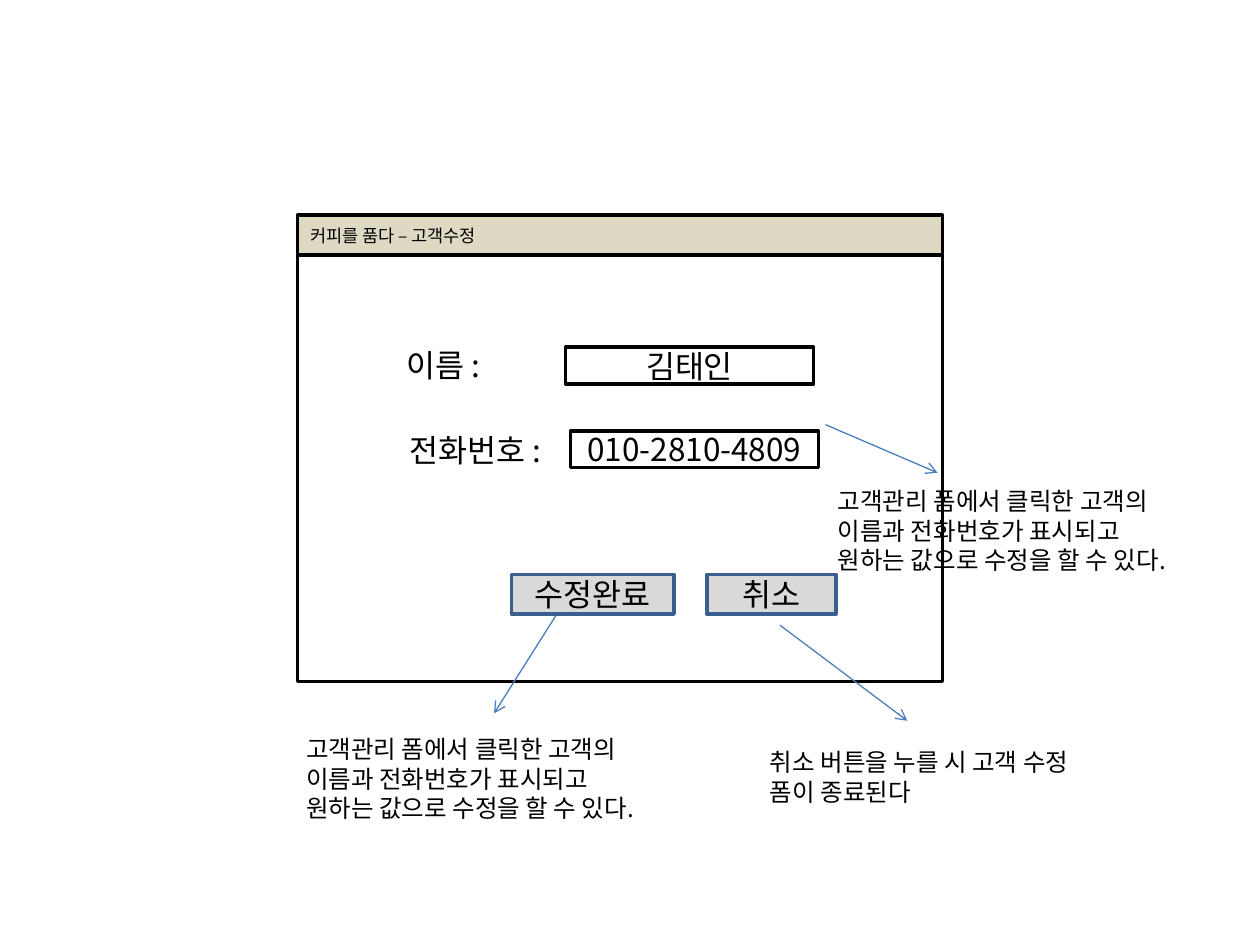
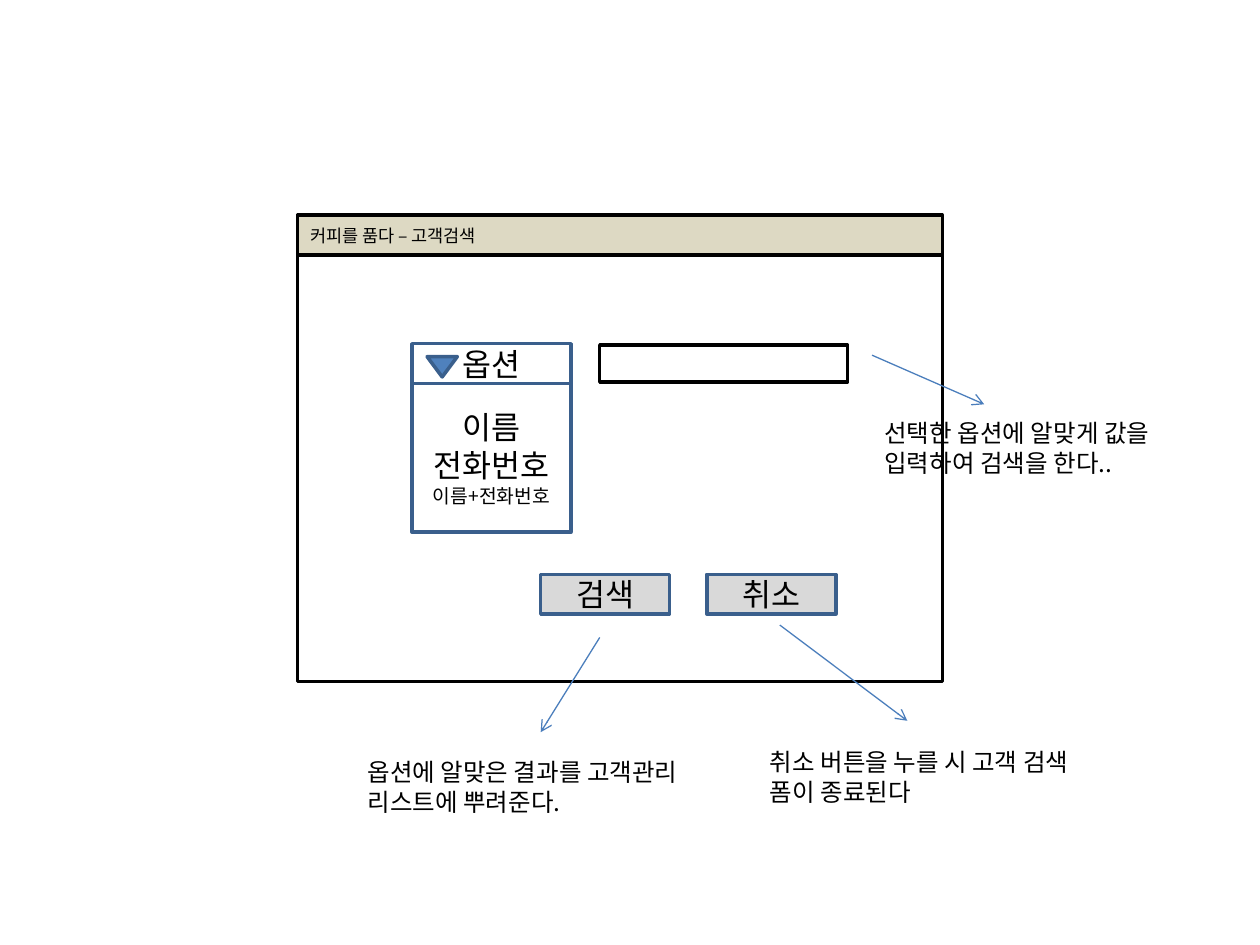
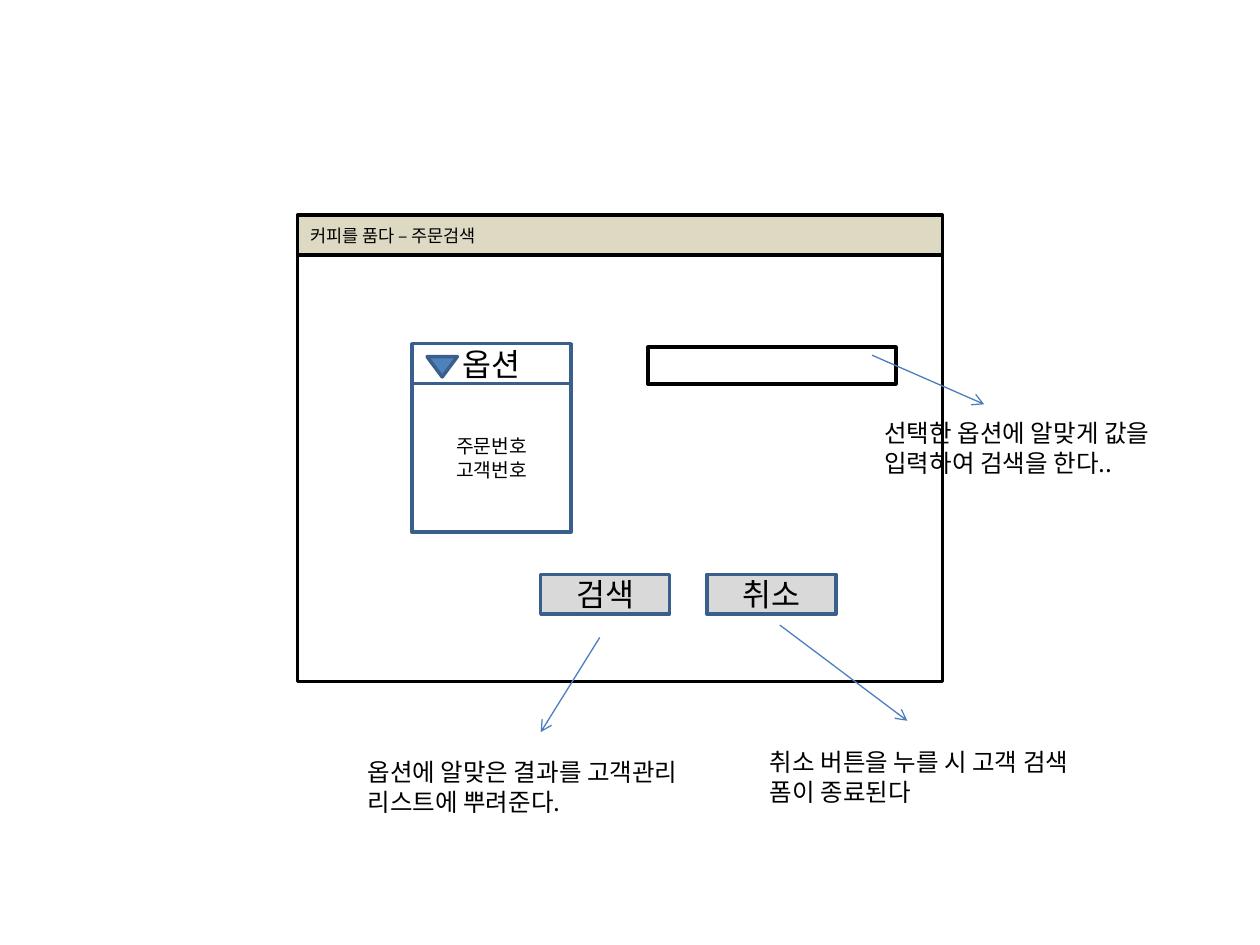
import dataclasses
import typing

import pptx
import pptx.dml.color
import pptx.enum.shapes
import pptx.enum.text
import pptx.oxml
import pptx.oxml.ns
import pptx.util

Cm = pptx.util.Cm
Pt = pptx.util.Pt
RGB = pptx.dml.color.RGBColor
SHAPE = pptx.enum.shapes.MSO_SHAPE
ALIGN = pptx.enum.text.PP_ALIGN
ANCHOR = pptx.enum.text.MSO_ANCHOR
FIT = pptx.enum.text.MSO_AUTO_SIZE


# Theme
@dataclasses.dataclass(frozen=True)
class Theme:
    font: str = "Noto Sans CJK KR"
    black: str = "000000"
    white: str = "FFFFFF"
    title_bar: str = "DDD9C3"
    button: str = "D9D9D9"
    marker: str = "4F81BD"
    edge: str = "3A5F8C"
    arrow: str = "4B7EBC"
    title_size: int = 10
    option_size: int = 11
    note_size: int = 14
    form_size: int = 18
    border: float = 2
    arrow_width: float = 0.75


T = Theme()


# Elements, all lengths in centimetres
class Line(typing.NamedTuple):
    text: str
    size: int = T.form_size


class Label(typing.NamedTuple):
    left: float
    top: float
    text: str


class Field(typing.NamedTuple):
    left: float
    top: float
    text: str = ""


class Button(typing.NamedTuple):
    left: float
    text: str
    width: float = 2.6


class Arrow(typing.NamedTuple):
    x1: float
    y1: float
    x2: float
    y2: float


class Note(typing.NamedTuple):
    left: float
    top: float
    text: str
    height: float
    arrow: Arrow


@dataclasses.dataclass(frozen=True)
class Form:
    name: str
    fields: tuple[Field, ...]
    buttons: tuple[Button, ...]
    notes: tuple[Note, ...]
    labels: tuple[Label, ...] = ()
    options: tuple[Line, ...] = ()


WINDOW = (6, 4.34, 13, 9.4)
BAR_H = 0.8
FIELD_W, FIELD_H = 5, 0.74
BUTTON_TOP = 11.58
LABEL_W, LABEL_H = 4, 1.02
NOTE_W = 7.47
TWO_LINES, THREE_LINES = 1.45, 2.06
OPTION_LEFT, OPTION_TOP, OPTION_W, OPTION_LIST_H = 8.31, 6.93, 3.2, 3


# Drawing helpers
def set_all(obj: typing.Any, values: dict[str, typing.Any]) -> None:
    for name, value in values.items():
        setattr(obj, name, value)


def write(sp, lines: typing.Sequence[Line], align=ALIGN.LEFT,
          anchor=ANCHOR.MIDDLE, fit=FIT.NONE) -> None:
    tf = sp.text_frame
    set_all(tf, {"word_wrap": True, "vertical_anchor": anchor, "auto_size": fit})
    for i, line in enumerate(lines):
        p = tf.paragraphs[0] if i == 0 else tf.add_paragraph()
        p.alignment = align
        r = p.add_run()
        r.text = line.text
        set_all(r.font, {"name": T.font, "size": Pt(line.size)})
        r.font.color.rgb = RGB.from_string(T.black)
        ea = pptx.oxml.parse_xml(
            f'<a:ea {pptx.oxml.ns.nsdecls("a")} typeface="{T.font}"/>')
        r.font._element.find(pptx.oxml.ns.qn("a:latin")).addnext(ea)


def paint(sp, fill: str, edge: str) -> None:
    sp.fill.solid()
    sp.fill.fore_color.rgb = RGB.from_string(fill)
    sp.line.color.rgb = RGB.from_string(edge)
    sp.line.width = Pt(T.border)


def add_box(s, box: tuple[float, float, float, float], fill: str, edge: str,
            lines: typing.Sequence[Line] = (), kind=SHAPE.RECTANGLE) -> None:
    sp = s.shapes.add_shape(kind, *map(Cm, box))
    sp.shadow.inherit = False
    paint(sp, fill, edge)
    write(sp, lines, ALIGN.CENTER)


def add_text(s, box: tuple[float, float, float, float], line: Line) -> None:
    sp = s.shapes.add_textbox(*map(Cm, box))
    write(sp, [line], anchor=ANCHOR.TOP, fit=FIT.SHAPE_TO_FIT_TEXT)


def add_arrow(s, arrow: Arrow) -> None:
    c = s.shapes.add_connector(
        pptx.enum.shapes.MSO_CONNECTOR.STRAIGHT, *map(Cm, arrow))
    c.line.color.rgb = RGB.from_string(T.arrow)
    c.line.width = Pt(T.arrow_width)
    ns = pptx.oxml.ns.nsdecls("a")
    c.line._get_or_add_ln().append(
        pptx.oxml.parse_xml(f'<a:tailEnd {ns} type="arrow"/>'))
    c._element.spPr.append(pptx.oxml.parse_xml(f"<a:effectLst {ns}/>"))


def add_window(s, name: str) -> None:
    add_box(s, WINDOW, T.white, T.black)
    title = s.shapes.title
    left, top, width, _ = WINDOW
    set_all(title, {"left": Cm(left), "top": Cm(top),
                    "width": Cm(width), "height": Cm(BAR_H)})
    paint(title, T.title_bar, T.black)
    write(title, [Line(f"커피를 품다 – {name}", T.title_size)])
    # Bring the title bar in front of the window
    s.shapes._spTree.append(title._element)


def add_options(s, options: typing.Sequence[Line]) -> None:
    add_box(s, (OPTION_LEFT, OPTION_TOP, OPTION_W, BAR_H),
            T.white, T.edge, [Line("옵션")])
    add_box(s, (OPTION_LEFT + 0.3, OPTION_TOP + 0.26, 0.61, 0.41),
            T.marker, T.edge, kind=SHAPE.FLOWCHART_MERGE)
    add_box(s, (OPTION_LEFT, OPTION_TOP + BAR_H, OPTION_W, OPTION_LIST_H),
            T.white, T.edge, options)


def add_form(prs, form: Form) -> None:
    s = prs.slides.add_slide(prs.slide_layouts.get_by_name("Title Only"))
    add_window(s, form.name)
    for label in form.labels:
        add_text(s, (label.left, label.top, LABEL_W, LABEL_H), Line(label.text))
    if form.options:
        add_options(s, form.options)
    for field in form.fields:
        add_box(s, (field.left, field.top, FIELD_W, FIELD_H), T.white, T.black,
                [Line(field.text)] if field.text else [])
    for button in form.buttons:
        add_box(s, (button.left, BUTTON_TOP, button.width, BAR_H),
                T.button, T.edge, [Line(button.text)])
    for note in form.notes:
        add_arrow(s, note.arrow)
        add_text(s, (note.left, note.top, NOTE_W, note.height),
                 Line(note.text, T.note_size))


# Content
CANCEL = Button(14.25, "취소")
EDIT_NOTE = ("고객관리 폼에서 클릭한 고객의 이름과 전화번호가 표시되고 "
             "원하는 값으로 수정을 할 수 있다.")


def cancel_note(action: str) -> Note:
    return Note(15.27, 14.94, f"취소 버튼을 누를 시 고객 {action} 폼이 종료된다",
                TWO_LINES, Arrow(15.72, 12.6, 18.29, 14.53))


def search_form(name: str, field: Field, options: tuple[Line, ...]) -> Form:
    return Form(
        name,
        fields=(field,),
        buttons=(Button(10.9, "검색"), CANCEL),
        notes=(
            Note(17.58, 8.31, "선택한 옵션에 알맞게 값을 입력하여 검색을 한다..",
                 TWO_LINES, Arrow(17.58, 7.16, 19.84, 8.15)),
            cancel_note("검색"),
            Note(7.16, 15.14, "옵션에 알맞은 결과를 고객관리 리스트에 뿌려준다.",
                 TWO_LINES, Arrow(12.09, 12.85, 10.9, 14.76)),
        ),
        options=options,
    )


FORMS = (
    Form(
        "고객수정",
        labels=(Label(7.95, 6.86, "이름 :"), Label(8, 8.56, "전화번호 :")),
        fields=(Field(11.4, 7, "김태인"), Field(11.5, 8.69, "010-2810-4809")),
        buttons=(Button(10.31, "수정완료", 3.28), CANCEL),
        notes=(
            Note(16.64, 9.68, EDIT_NOTE, THREE_LINES,
                 Arrow(16.64, 8.56, 18.9, 9.53)),
            cancel_note("수정"),
            Note(5.92, 14.68, EDIT_NOTE, THREE_LINES,
                 Arrow(11.2, 12.42, 9.96, 14.38)),
        ),
    ),
    search_form("고객검색", Field(12.09, 6.96),
                (Line("이름"), Line("전화번호"),
                 Line("이름+전화번호", T.option_size))),
    search_form("주문검색", Field(13.06, 7),
                (Line("주문번호", T.option_size),
                 Line("고객번호", T.option_size))),
)


def main() -> None:
    prs = pptx.Presentation()
    set_all(prs, {"slide_width": Cm(25.4), "slide_height": Cm(19.05)})
    for form in FORMS:
        add_form(prs, form)
    prs.save("out.pptx")


if __name__ == "__main__":
    main()
